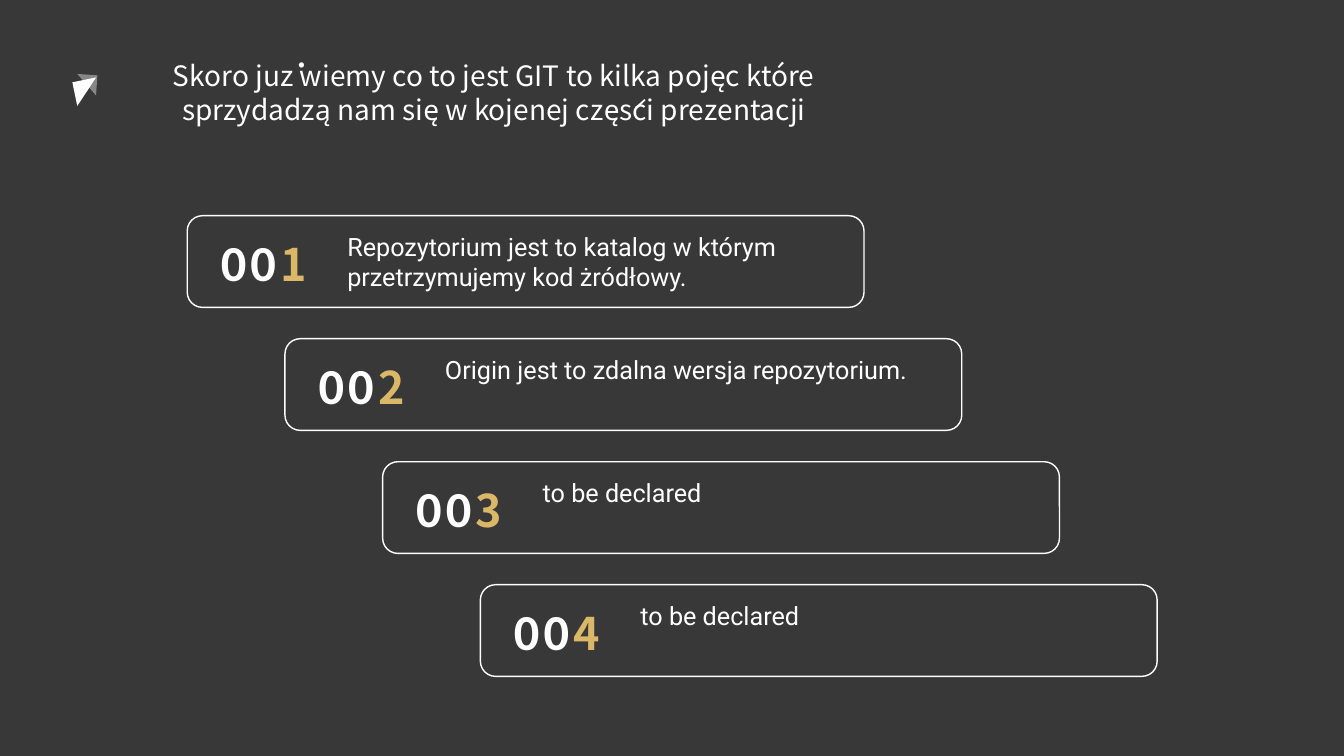
from lxml import etree
from pptx import Presentation
from pptx.dml.color import RGBColor
from pptx.enum.shapes import MSO_SHAPE as Shape
from pptx.enum.text import MSO_AUTO_SIZE as AutoSize, PP_ALIGN as Align
from pptx.oxml.ns import qn
from pptx.util import Inches, Pt

DARK = RGBColor(0x38, 0x38, 0x38)
WHITE = RGBColor(0xFF, 0xFF, 0xFF)
GOLD = RGBColor(0xDB, 0xB7, 0x68)

WIDTH, HEIGHT = Inches(13.33), Inches(7.5)

# Places are percent of the slide's width and height.
FIRST_LEFT, FIRST_TOP = 13.93, 28.53
STEP_X, STEP_Y = 7.27, 16.27
CARD_WIDTH, CARD_HEIGHT = 50.36, 12.13
TEXT_DROP = 1.37
ONE_LINE, TWO_LINES = 5.33, 9.47

TITLE = [
    "Skoro już wiemy co to jest GIT to kilka pojęc które",
    "sprzydadzą nam się w kojenej części prezentacji",
]
TERMS = [
    ("Repozytorium jest to katalog w którym przetrzymujemy kod żródłowy.", TWO_LINES),
    ("Origin jest to zdalna wersja repozytorium.", ONE_LINE),
    ("to be declared", ONE_LINE),
    ("to be declared", ONE_LINE),
]


def place(left, top, width, height):
    """Turn percentages of the slide into lengths."""
    return (
        round(WIDTH * left / 100),
        round(HEIGHT * top / 100),
        round(WIDTH * width / 100),
        round(HEIGHT * height / 100),
    )


def add_shape(slide, kind, area, fill=None, line=None, rotation=0, opacity=100):
    shape = slide.shapes.add_shape(kind, *place(*area))
    shape.shadow.inherit = False
    shape.rotation = rotation
    if fill is None:
        shape.fill.background()
    else:
        shape.fill.solid()
        shape.fill.fore_color.rgb = fill
    if opacity < 100:
        color = shape.fill._xPr.find(".//" + qn("a:srgbClr"))
        etree.SubElement(color, qn("a:alpha"), val=str(opacity * 1000))
    if line is None:
        shape.line.fill.background()
    else:
        shape.line.color.rgb = line
        shape.line.width = Pt(1)


def add_text_box(slide, area, align=Align.LEFT):
    """Add an empty wrapping text box and return its paragraph."""
    frame = slide.shapes.add_textbox(*place(*area)).text_frame
    frame.word_wrap = True
    frame.auto_size = AutoSize.SHAPE_TO_FIT_TEXT
    paragraph = frame.paragraphs[0]
    paragraph.alignment = align
    return paragraph


def add_run(paragraph, text, font, size, color=WHITE, bold=False, spacing=0):
    run = paragraph.add_run()
    run.text = text
    run.font.name = font
    run.font.size = Pt(size)
    run.font.bold = bold
    run.font.color.rgb = color
    properties = run.font._element
    properties.set("spc", str(spacing * 100))
    east_asian = etree.Element(qn("a:ea"), typeface=font)
    properties.find(qn("a:latin")).addnext(east_asian)


def add_title(slide):
    paragraph = add_text_box(slide, (10.65, 7.07, 52.2, 10.27), Align.CENTER)
    for index, line in enumerate(TITLE):
        if index:
            paragraph.add_line_break()
        add_run(paragraph, line, "Noto Sans CJK JP", 20)


def add_arrow_mark(slide):
    add_shape(slide, Shape.RIGHT_TRIANGLE, (5.55, 10.53, 1.8, 3.2),
              fill=WHITE, rotation=78.4)
    add_shape(slide, Shape.RIGHT_TRIANGLE, (5.7, 9.87, 1.5, 2.67),
              fill=WHITE, rotation=184, opacity=40)


def add_card(slide, index, text, text_height):
    left = FIRST_LEFT + index * STEP_X
    top = FIRST_TOP + index * STEP_Y
    add_shape(slide, Shape.ROUNDED_RECTANGLE,
              (left, top, CARD_WIDTH, CARD_HEIGHT), line=WHITE)

    number = add_text_box(slide, (left + 1.76, top + TEXT_DROP, 8.75, TWO_LINES))
    add_run(number, "00", "Calibri", 36, bold=True, spacing=3)
    add_run(number, str(index + 1), "Noto Sans CJK SC", 32, color=GOLD, bold=True)

    body = add_text_box(slide, (left + 11.17, top + TEXT_DROP, 37.88, text_height))
    add_run(body, text, "Roboto", 18)


def main():
    presentation = Presentation()
    presentation.slide_width, presentation.slide_height = WIDTH, HEIGHT
    slide = presentation.slides.add_slide(presentation.slide_layouts[6])
    add_shape(slide, Shape.RECTANGLE, (0, 0, 100, 100), fill=DARK)
    add_title(slide)
    add_arrow_mark(slide)
    for index, (text, text_height) in enumerate(TERMS):
        add_card(slide, index, text, text_height)
    presentation.save("out.pptx")


if __name__ == "__main__":
    main()
